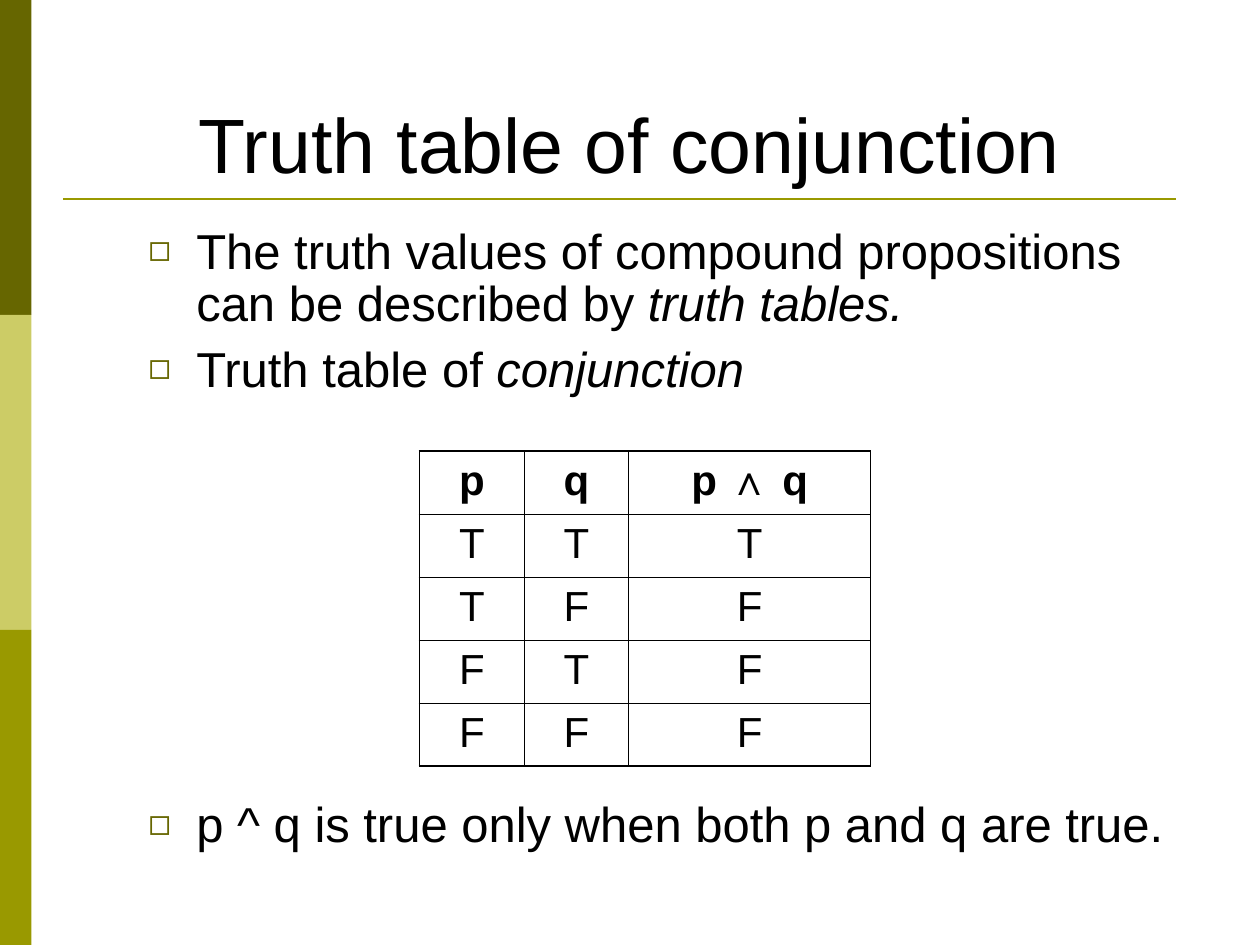
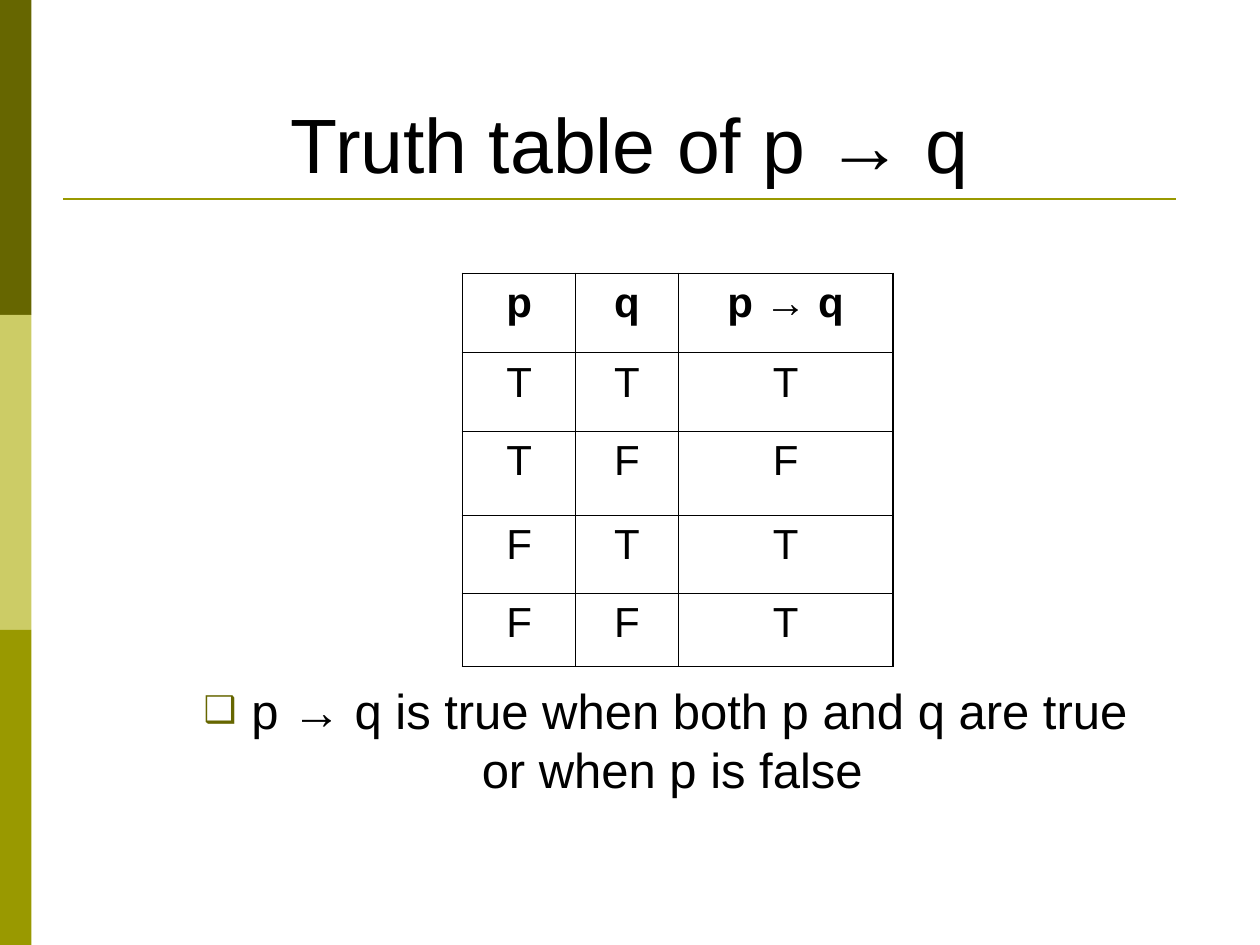
from dataclasses import dataclass
from itertools import product
from typing import NamedTuple

from lxml import etree
from pptx import Presentation
from pptx.dml.color import RGBColor
from pptx.enum.shapes import MSO_CONNECTOR, MSO_SHAPE
from pptx.enum.text import MSO_ANCHOR, PP_ALIGN
from pptx.oxml.ns import qn
from pptx.util import Inches, Pt

RECTANGLE = MSO_SHAPE.RECTANGLE
STRAIGHT = MSO_CONNECTOR.STRAIGHT
BOTTOM = MSO_ANCHOR.BOTTOM
LEFT = PP_ALIGN.LEFT
CENTER = PP_ALIGN.CENTER

BLACK = RGBColor(0x00, 0x00, 0x00)
DARK_OLIVE = RGBColor(0x66, 0x66, 0x00)
PALE_OLIVE = RGBColor(0xCC, 0xCC, 0x66)
OLIVE = RGBColor(0x99, 0x99, 0x00)

FONT = "Arial"
BLANK_LAYOUT = 6
BAND_WIDTH, BAND_HEIGHT = 0.25, 2.5
HANGING_INDENT = 0.38
OUTER_BORDER, INNER_BORDER = 1.08, 0.45


class Box(NamedTuple):
    left: float
    top: float
    width: float
    height: float

    def lengths(self) -> list[int]:
        return [Inches(value) for value in self]


class Phrase(NamedTuple):
    text: str
    italic: bool = False


@dataclass
class Statement:
    phrases: list[Phrase]
    bullet: str = ""
    space_before: float = 7


@dataclass
class Body:
    box: Box
    statements: list[Statement]
    line_spacing: float
    alignment: PP_ALIGN = LEFT
    margin_top: float = 0.05


@dataclass
class TruthTable:
    left: float
    top: float
    formula: str
    results: str
    column_widths: list[float]
    row_heights: list[float]

    def rows(self) -> list[tuple[str, ...]]:
        cases = product("TF", repeat=2)
        return [("p", "q", self.formula)] + [
            (*case, result) for case, result in zip(cases, self.results)
        ]


@dataclass
class Lesson:
    title: str
    body: Body
    table: TruthTable


TITLE_BOX = Box(0.5, 0.3, 9, 1.25)

LESSONS = [
    Lesson(
        "Truth table of conjunction",
        Body(
            Box(1.08, 1.75, 8.42, 5.5),
            [
                Statement(
                    [
                        Phrase("The truth values of compound propositions can be described by "),
                        Phrase("truth tables.", italic=True),
                    ],
                    "◻",
                ),
                Statement([Phrase("Truth table of "), Phrase("conjunction", italic=True)], "◻"),
                Statement(
                    [Phrase("p ^ q is true only when both p and q are true.")],
                    "◻",
                    space_before=230,
                ),
            ],
            line_spacing=0.9,
        ),
        TruthTable(3.33, 3.58, "p ∧ q", "TFFF", [0.83, 0.83, 1.92], [0.5] * 5),
    ),
    Lesson(
        "Truth table of p → q",
        Body(
            Box(1.17, 2.58, 8.33, 4.12),
            [
                Statement([Phrase("p → q is true when both p and q are true ")], "❑"),
                Statement([Phrase("or when p is false")]),
            ],
            line_spacing=0.8,
            alignment=CENTER,
            margin_top=2.91,
        ),
        TruthTable(
            3.67, 2.17, "p → q", "TFTT", [0.9, 0.81, 1.71], [0.63, 0.62, 0.67, 0.62, 0.58]
        ),
    ),
]


def set_font(paragraph, size: float, bold: bool = False) -> None:
    font = paragraph.font
    font.name = FONT
    font.size = Pt(size)
    font.bold = bold
    font.color.rgb = BLACK


def set_bullet(paragraph, bullet: str) -> None:
    properties = paragraph._p.get_or_add_pPr()
    properties.set("marL", str(Inches(HANGING_INDENT)))
    properties.set("indent", str(-Inches(HANGING_INDENT)))
    if not bullet:
        etree.SubElement(properties, qn("a:buNone"))
        return
    color = etree.SubElement(properties, qn("a:buClr"))
    etree.SubElement(color, qn("a:srgbClr"), val=str(DARK_OLIVE))
    etree.SubElement(properties, qn("a:buSzPct"), val="75000")
    etree.SubElement(properties, qn("a:buFont"), typeface=FONT)
    etree.SubElement(properties, qn("a:buChar"), char=bullet)


def set_borders(cell, widths: dict[str, float]) -> None:
    properties = cell._tc.get_or_add_tcPr()
    for position, (side, width) in enumerate(widths.items()):
        border = etree.Element(qn(f"a:{side}"), w=str(Pt(width)))
        fill = etree.SubElement(border, qn("a:solidFill"))
        etree.SubElement(fill, qn("a:srgbClr"), val=str(BLACK))
        properties.insert(position, border)


def draw_frame(slide) -> None:
    for position, color in enumerate([DARK_OLIVE, PALE_OLIVE, OLIVE]):
        box = Box(0, position * BAND_HEIGHT, BAND_WIDTH, BAND_HEIGHT)
        band = slide.shapes.add_shape(RECTANGLE, *box.lengths())
        band.shadow.inherit = False
        band.fill.solid()
        band.fill.fore_color.rgb = color
        band.line.fill.background()
    rule = slide.shapes.add_connector(
        STRAIGHT, Inches(0.5), Inches(1.58), Inches(9.33), Inches(1.58)
    )
    rule.line.color.rgb = OLIVE
    rule.line.width = Pt(1.5)
    etree.SubElement(rule._element.spPr, qn("a:effectLst"))


def draw_title(slide, title: str) -> None:
    frame = slide.shapes.add_textbox(*TITLE_BOX.lengths()).text_frame
    frame.word_wrap = True
    frame.vertical_anchor = BOTTOM
    heading = frame.paragraphs[0]
    heading.text = title
    heading.alignment = CENTER
    set_font(heading, 44)


def draw_body(slide, body: Body) -> None:
    frame = slide.shapes.add_textbox(*body.box.lengths()).text_frame
    frame.word_wrap = True
    frame.margin_top = Inches(body.margin_top)
    for position, statement in enumerate(body.statements):
        paragraph = frame.add_paragraph() if position else frame.paragraphs[0]
        paragraph.alignment = body.alignment
        paragraph.line_spacing = body.line_spacing
        paragraph.space_before = Pt(statement.space_before)
        set_bullet(paragraph, statement.bullet)
        set_font(paragraph, 28)
        for phrase in statement.phrases:
            run = paragraph.add_run()
            run.text = phrase.text
            if phrase.italic:
                run.font.italic = True


def draw_truth_table(slide, truth: TruthTable) -> None:
    rows = truth.rows()
    last_row, last_column = len(rows) - 1, len(truth.column_widths) - 1
    box = Box(truth.left, truth.top, sum(truth.column_widths), sum(truth.row_heights))
    table = slide.shapes.add_table(last_row + 1, last_column + 1, *box.lengths()).table
    table.first_row = False
    table.horz_banding = False
    for column, width in zip(table.columns, truth.column_widths):
        column.width = Inches(width)
    for row, height in zip(table.rows, truth.row_heights):
        row.height = Inches(height)
    for r, values in enumerate(rows):
        for c, value in enumerate(values):
            cell = table.cell(r, c)
            cell.fill.background()
            edges = {
                "lnL": c == 0,
                "lnR": c == last_column,
                "lnT": r == 0,
                "lnB": r == last_row,
            }
            set_borders(
                cell,
                {side: OUTER_BORDER if outer else INNER_BORDER for side, outer in edges.items()},
            )
            entry = cell.text_frame.paragraphs[0]
            entry.text = value
            entry.alignment = CENTER
            entry.space_before = Pt(6)
            set_font(entry, 24, bold=r == 0)


def main() -> None:
    deck = Presentation()
    deck.slide_width = Inches(10)
    deck.slide_height = Inches(7.5)
    for lesson in LESSONS:
        slide = deck.slides.add_slide(deck.slide_layouts[BLANK_LAYOUT])
        draw_frame(slide)
        draw_title(slide, lesson.title)
        draw_body(slide, lesson.body)
        draw_truth_table(slide, lesson.table)
    deck.save("out.pptx")


if __name__ == "__main__":
    main()
